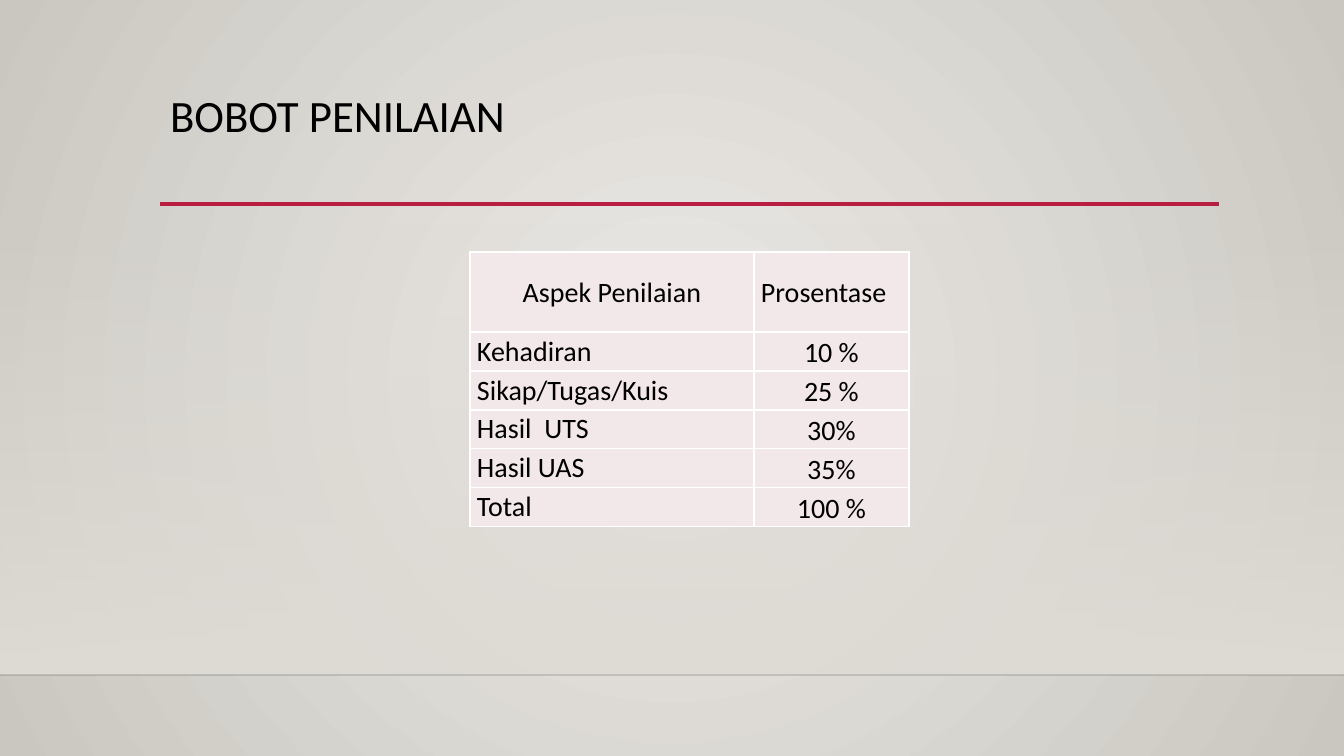
"""Build the grading weights slide."""
import dataclasses
import typing

import lxml.etree
import pptx
import pptx.dml.color
import pptx.enum.shapes
import pptx.enum.text
import pptx.oxml
import pptx.oxml.ns
import pptx.util

SCALE = 12192000 / 1344
Align = pptx.enum.text.PP_ALIGN
Anchor = pptx.enum.text.MSO_ANCHOR
qn = pptx.oxml.ns.qn


@dataclasses.dataclass(frozen=True)
class Theme:
    font: str = "Calibri"
    ink: str = "000000"
    glow: str = "ECEAE7"
    edge: str = "CAC7C1"
    band: str = "DFDBD5"
    floor: str = "000001"
    accent: str = "B71E42"
    cell: str = "F3E8E9"
    grid: str = "FFFFFF"
    title: int = 32
    body: int = 20


class Stop(typing.NamedTuple):
    pos: int
    color: str
    alpha: int = 100


class Rule(typing.NamedTuple):
    left: int
    right: int
    top: int
    color: str
    width: float
    alpha: int = 100


class Row(typing.NamedTuple):
    label: str
    share: str
    height: int = 39


THEME = Theme()
RULES = [
    Rule(0, 1344, 675, THEME.floor, 1, 20),
    Rule(160, 1219, 204, THEME.accent, 2.5),
]
ROWS = [
    Row("Aspek Penilaian", "Prosentase", 80),
    Row("Kehadiran", "10 %"),
    Row("Sikap/Tugas/Kuis", "25 %"),
    Row("Hasil  UTS", "30%"),
    Row("Hasil UAS", "35%"),
    Row("Total", "100 %"),
]
WIDTHS = [284, 155]


def px(size: int) -> int:
    return round(size * SCALE)


def rgb(color: str) -> pptx.dml.color.RGBColor:
    return pptx.dml.color.RGBColor.from_string(color)


def shade(fill, root, stops: list[Stop], form: str) -> None:
    fill.gradient()
    marks = "".join(
        f'<a:gs pos="{stop.pos * 1000}"><a:srgbClr val="{stop.color}">'
        f'<a:alpha val="{stop.alpha * 1000}"/></a:srgbClr></a:gs>'
        for stop in stops
    )
    ns = pptx.oxml.ns.nsdecls("a")
    new = pptx.oxml.parse_xml(
        f'<a:gradFill {ns} rotWithShape="1"><a:gsLst>{marks}</a:gsLst>{form}</a:gradFill>'
    )
    old = root.find(".//" + qn("a:gradFill"))
    old.getparent().replace(old, new)


def style(para, size: int) -> None:
    para.font.name = THEME.font
    para.font.size = pptx.util.Pt(size)
    para.font.color.rgb = rgb(THEME.ink)


def draw_back(slide) -> None:
    shade(
        slide.background.fill,
        slide.element,
        [Stop(0, THEME.glow), Stop(100, THEME.edge)],
        '<a:path path="circle"><a:fillToRect l="50000" t="50000" r="50000" b="50000"/></a:path>',
    )
    band = slide.shapes.add_shape(
        pptx.enum.shapes.MSO_SHAPE.RECTANGLE, 0, px(223), px(1344), px(452)
    )
    band.shadow.inherit = False
    band.line.fill.background()
    shade(
        band.fill,
        band.element,
        [Stop(0, THEME.band, 0), Stop(100, THEME.band)],
        '<a:lin ang="5400000" scaled="0"/>',
    )


def draw_rule(slide, rule: Rule) -> None:
    line = slide.shapes.add_connector(
        pptx.enum.shapes.MSO_CONNECTOR.STRAIGHT,
        px(rule.left), px(rule.top), px(rule.right), px(rule.top),
    )
    line.line.color.rgb = rgb(rule.color)
    line.line.width = pptx.util.Pt(rule.width)
    props = line.element.spPr
    if rule.alpha < 100:
        tint = props.find(".//" + qn("a:srgbClr"))
        lxml.etree.SubElement(tint, qn("a:alpha"), val=str(rule.alpha * 1000))
    lxml.etree.SubElement(props, qn("a:effectLst"))


def draw_title(slide, text: str) -> None:
    title = slide.shapes.title
    title.left, title.top = px(160), px(89)
    title.width, title.height = px(1058), px(116)
    frame = title.text_frame
    frame.text = text
    frame.word_wrap = True
    frame.auto_size = pptx.enum.text.MSO_AUTO_SIZE.NONE
    frame.vertical_anchor = Anchor.TOP
    para = frame.paragraphs[0]
    para.alignment = Align.LEFT
    para.line_spacing = 0.9
    style(para, THEME.title)


def frame_cell(cell) -> None:
    props = cell._tc.get_or_add_tcPr()
    ns = pptx.oxml.ns.nsdecls("a")
    for spot, side in enumerate("LRTB"):
        edge = pptx.oxml.parse_xml(
            f'<a:ln{side} {ns} w="12700"><a:solidFill><a:srgbClr val="{THEME.grid}"/>'
            f'</a:solidFill></a:ln{side}>'
        )
        props.insert(spot, edge)


def fill_cell(cell, text: str, center: bool, middle: bool) -> None:
    cell.text = text
    cell.margin_left = cell.margin_right = px(7)
    cell.margin_top = cell.margin_bottom = 0
    cell.vertical_anchor = Anchor.MIDDLE if middle else Anchor.TOP
    cell.fill.solid()
    cell.fill.fore_color.rgb = rgb(THEME.cell)
    para = cell.text_frame.paragraphs[0]
    para.alignment = Align.CENTER if center else Align.LEFT
    para.line_spacing = 1.07
    style(para, THEME.body)
    frame_cell(cell)


def draw_table(slide, rows: list[Row]) -> None:
    high = sum(row.height for row in rows)
    table = slide.shapes.add_table(
        len(rows), len(WIDTHS), px(470), px(252), px(sum(WIDTHS)), px(high)
    ).table
    for col, width in zip(table.columns, WIDTHS):
        col.width = px(width)
    for num, row in enumerate(rows):
        table.rows[num].height = px(row.height)
        head = num == 0
        fill_cell(table.cell(num, 0), row.label, head, head)
        fill_cell(table.cell(num, 1), row.share, not head, True)


def main() -> None:
    deck = pptx.Presentation()
    deck.slide_width, deck.slide_height = px(1344), px(756)
    slide = deck.slides.add_slide(deck.slide_layouts[5])
    draw_back(slide)
    for rule in RULES:
        draw_rule(slide, rule)
    draw_title(slide, "BOBOT PENILAIAN")
    draw_table(slide, ROWS)
    deck.save("out.pptx")


if __name__ == "__main__":
    main()
